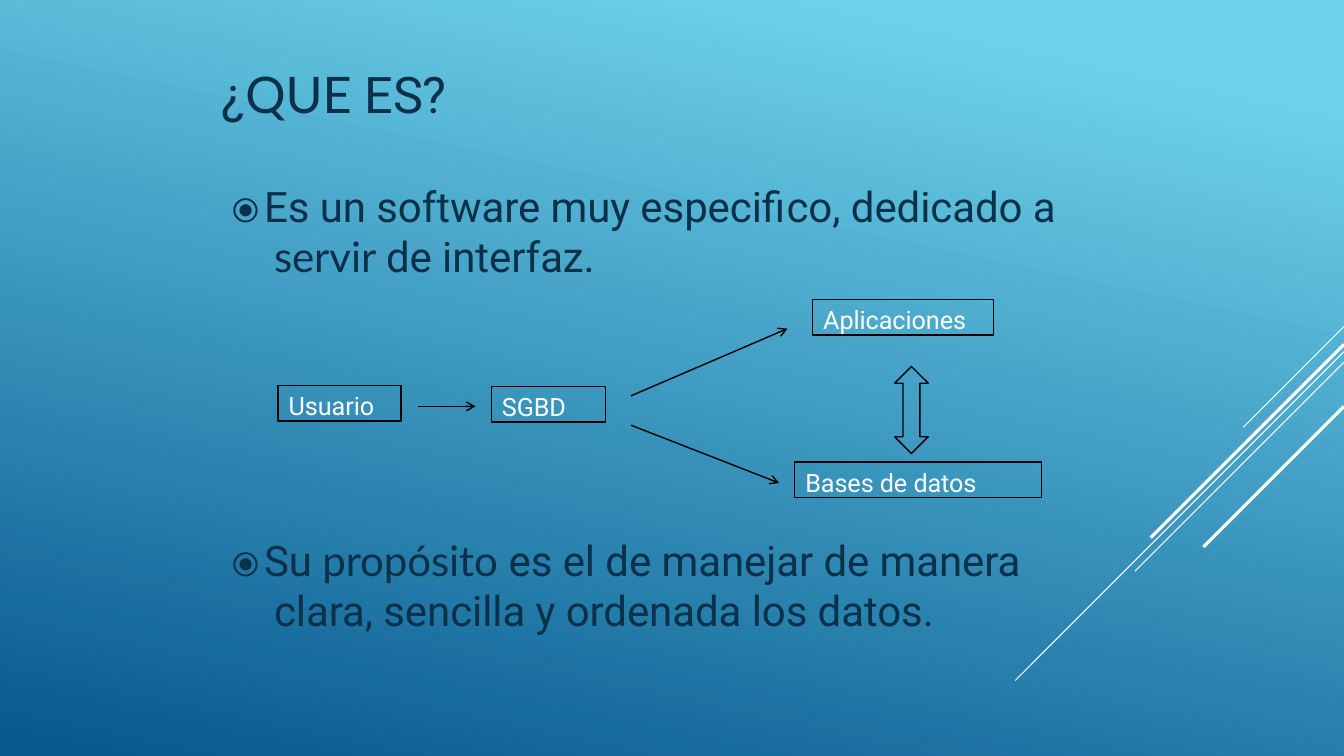
"""Build a slide on what a database manager is."""
from pptx import Presentation, util as u
from pptx.dml.color import RGBColor
from pptx.enum import shapes, text
from pptx.oxml.ns import qn
from lxml import etree

COLORS = {"sky": "6ED2EB", "deep": "06588E", "ink": "0A304A",
          "white": "FFFFFF", "black": "000000"}


def px(n):
    return u.Emu(n * 9525)


def rgb(name):
    return RGBColor.from_string(COLORS[name])


class Deck:
    """Holds the style and the current slide."""

    font = "Roboto"

    def __init__(self):
        self.prs = Presentation()
        self.prs.slide_width, self.prs.slide_height = px(1280), px(720)
        self.slide = self.prs.slides.add_slide(self.prs.slide_layouts[6])
        self.items = self.slide.shapes

    def backdrop(self, stops, angle):
        fill = self.slide.background.fill
        fill.gradient()
        fill.gradient_angle = angle
        for stop, (name, pos) in zip(fill.gradient_stops, stops):
            stop.color.rgb = rgb(name)
            stop.position = pos

    def line(self, start, end, color, width, head=False):
        line = self.items.add_connector(
            shapes.MSO_CONNECTOR.STRAIGHT, *map(px, start + end))
        line.line.color.rgb = rgb(color)
        line.line.width = u.Pt(width)
        props = line._element.spPr
        if head:
            etree.SubElement(props.find(qn("a:ln")), qn("a:tailEnd"), type="arrow")
        etree.SubElement(props, qn("a:effectLst"))

    def shape(self, kind, area):
        shape = self.items.add_shape(kind, *map(px, area))
        shape.shadow.inherit = False
        shape.fill.background()
        shape.line.color.rgb = rgb("black")
        shape.line.width = u.Pt(1)
        return shape

    def frame(self, shape, left=0, top=0, anchor=text.MSO_ANCHOR.TOP):
        frame = shape.text_frame
        frame.word_wrap = True
        frame.margin_left, frame.margin_top = px(left), px(top)
        frame.margin_right = frame.margin_bottom = 0
        frame.vertical_anchor = anchor
        return frame

    def words(self, para, runs, size, color):
        para.alignment = text.PP_ALIGN.LEFT
        para.font.size = u.Pt(size)
        para.font.color.rgb = rgb(color)
        if len(runs) == 1:
            para.font.name = self.font
        for part, font in runs:
            run = para.add_run()
            run.text = part
            if len(runs) > 1:
                run.font.name = font or self.font
            run._r.get_or_add_rPr().set("spc", "-5")

    def title(self, area, runs):
        frame = self.frame(self.items.add_textbox(*map(px, area)),
                           top=2, anchor=text.MSO_ANCHOR.MIDDLE)
        self.words(frame.paragraphs[0], runs, 36, "ink")

    def point(self, area, runs):
        frame = self.frame(self.items.add_textbox(*map(px, area)), top=2)
        para = frame.paragraphs[0]
        props = para._p.get_or_add_pPr()
        props.set("marL", str(px(41)))
        props.set("indent", str(px(-40)))
        self.words(para, [("⦿ ", None)] + runs, 30, "ink")
        mark = para.runs[0]
        mark.font.size = u.Pt(24)
        mark._r.get_or_add_rPr().set("spc", "-220")

    def box(self, area, label):
        shape = self.shape(shapes.MSO_SHAPE.RECTANGLE, area)
        frame = self.frame(shape, left=10, top=5)
        self.words(frame.paragraphs[0], [(label, None)], 18, "white")


def main():
    deck = Deck()
    deck.backdrop([("sky", 0.1), ("deep", 1)], 258)

    for top, run, width in [(311, 96, 0.75), (335, 313, 0.75), (345, 199, 0.75),
                            (328, 184, 2.25), (387, 134, 2.25)]:
        deck.line((1280, top), (1280 - run, top + run), "white", width)

    deck.title((211, 58, 272, 60),
               [("¿", None), ("QUE ", "Lato"), ("ES?", None)])
    deck.point((220, 170, 800, 99),
               [("Es un software muy especifico, dedicado a ", None),
                ("servir ", "Lato"), ("de interfaz.", None)])
    deck.point((220, 507, 776, 99),
               [("Su ", None), ("propósito ", "Lato"),
                ("es el de manejar de manera clara, sencilla y ordenada los datos.",
                 None)])

    for left, top, width, label in [(265, 367, 117, "Usuario"),
                                    (468, 368, 109, "SGBD"),
                                    (774, 285, 172, "Aplicaciones"),
                                    (757, 440, 235, "Bases de datos")]:
        deck.box((left, top, width, 34), label)

    deck.shape(shapes.MSO_SHAPE.UP_DOWN_ARROW, (852, 349, 32, 83))
    for start, end in [((398, 387), (453, 387)),
                       ((601, 377), (750, 313)),
                       ((601, 405), (742, 460))]:
        deck.line(start, end, "black", 1, head=True)

    deck.prs.save("out.pptx")


if __name__ == "__main__":
    main()
